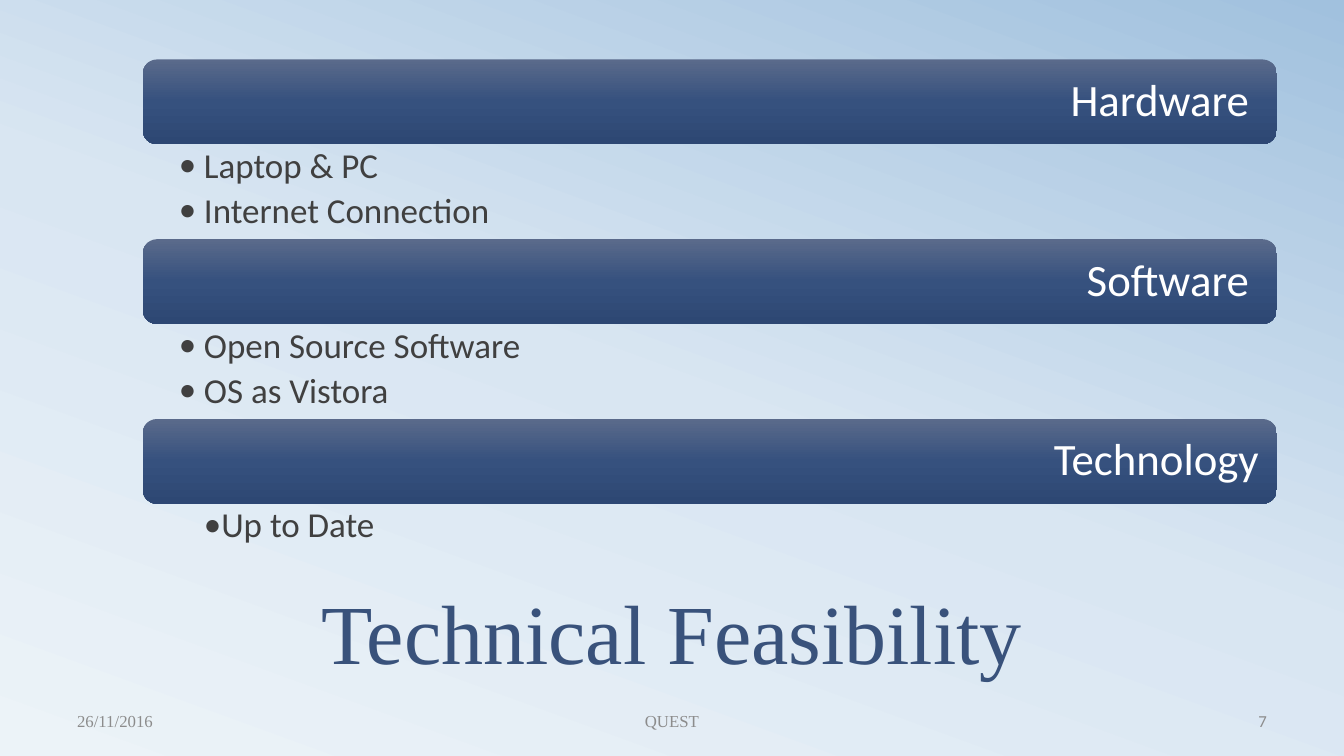
from copy import deepcopy

from lxml.etree import SubElement
from pptx import Presentation
from pptx.dml.color import RGBColor
from pptx.enum.shapes import MSO_SHAPE as Shape
from pptx.enum.text import MSO_ANCHOR as Anchor, PP_ALIGN as Align
from pptx.oxml.ns import qn
from pptx.util import Pt

COLORS = {
    "title": "39527B",
    "footer": "8C8C8C",
    "heading": "FFFFFF",
    "item": "404040",
}
GRADIENTS = {
    "background": [(0, "ECF3F8"), (0.49, "D9E6F2"), (1, "A1C1DE")],
    "bar": [(0, "5A6A8B"), (0.5, "36517E"), (1, "2D4773")],
}
SERIF, SANS = "Times New Roman", "Calibri"

# Heading, items, hanging indent of the bullets
SECTIONS = [
    ("Hardware ", ["Laptop & PC", "Internet Connection"], -18),
    ("Software ", ["Open Source Software", "OS as Vistora"], -18),
    ("Technology", ["Up to Date"], 0),
]
LEFT, TOP, WIDTH = 102, 42.5, 810
BAR_HEIGHT, SECTION_PITCH, LINE_HEIGHT = 60.5, 128.4, 33.8


def paint_gradient(fill, element, stops, angle):
    """Fill with any number of stops; angle is counter-clockwise."""
    fill.gradient()
    fill.gradient_angle = angle
    stop_list = element.find(".//" + qn("a:gsLst"))
    for _ in stops[2:]:
        stop_list.append(deepcopy(stop_list[0]))
    for stop, (position, color) in zip(fill.gradient_stops, stops):
        stop.position = position
        stop.color.rgb = RGBColor.from_string(color)


def write(paragraph, text, *, font, size, color, align=Align.LEFT,
          line=1.0, after=0):
    paragraph.alignment = align
    paragraph.line_spacing = line
    paragraph.space_after = Pt(after)
    run = paragraph.add_run()
    run.text = text
    run.font.name = font
    run.font.size = Pt(size)
    run.font.color.rgb = RGBColor.from_string(COLORS[color])


def set_frame(frame, anchor, insets):
    frame.word_wrap = True
    frame.vertical_anchor = anchor
    (frame.margin_left, frame.margin_top,
     frame.margin_right, frame.margin_bottom) = map(Pt, insets)


def add_text(slide, box, anchor=Anchor.MIDDLE, insets=(7.2, 3.6, 7.2, 3.6)):
    frame = slide.shapes.add_textbox(*map(Pt, box)).text_frame
    set_frame(frame, anchor, insets)
    return frame


def add_bullet(paragraph, indent):
    properties = paragraph._p.get_or_add_pPr()
    properties.set("marL", str(Pt(18)))
    properties.set("indent", str(Pt(indent)))
    SubElement(properties, qn("a:buFont")).set("typeface", SANS)
    SubElement(properties, qn("a:buChar")).set("char", "•")


def add_bar(slide, top, heading):
    bar = slide.shapes.add_shape(
        Shape.ROUNDED_RECTANGLE, Pt(LEFT), Pt(top), Pt(WIDTH), Pt(BAR_HEIGHT))
    bar.shadow.inherit = False
    bar.line.fill.background()
    paint_gradient(bar.fill, bar.element, GRADIENTS["bar"], 270)
    set_frame(bar.text_frame, Anchor.MIDDLE, [9.6] * 4)
    write(bar.text_frame.paragraphs[0], heading, font=SANS, size=32,
          color="heading", align=Align.RIGHT, line=0.9)


def add_items(slide, top, items, indent):
    frame = add_text(slide, (LEFT, top, WIDTH, LINE_HEIGHT * len(items)),
                     Anchor.TOP, (25.7, 2.9, 18, 2.9))
    for index, item in enumerate(items):
        paragraph = frame.add_paragraph() if index else frame.paragraphs[0]
        write(paragraph, item, font=SANS, size=25, color="item",
              line=0.9, after=5)
        add_bullet(paragraph, indent)


def add_footer(slide, left, width, text, font, align):
    frame = add_text(slide, (left, 500.5, width, 28.8))
    write(frame.paragraphs[0], text, font=font, size=12, color="footer",
          align=align)


def main():
    deck = Presentation()
    deck.slide_width, deck.slide_height = Pt(960), Pt(540)
    slide = deck.slides.add_slide(deck.slide_layouts[6])
    paint_gradient(slide.background.fill, slide.element,
                   GRADIENTS["background"], 70)

    # Title
    title = add_text(slide, (48, 406, 864, 84), Anchor.BOTTOM)
    write(title.paragraphs[0], "Technical Feasibility", font=SERIF, size=60,
          color="title", align=Align.CENTER, line=0.8)

    # Footer
    add_footer(slide, 48, 224, "26/11/2016", SERIF, Align.LEFT)
    add_footer(slide, 328, 304, "QUEST", SERIF, Align.CENTER)
    add_footer(slide, 688, 224, "7", SANS, Align.RIGHT)

    # Sections
    for index, (heading, items, indent) in enumerate(SECTIONS):
        top = TOP + index * SECTION_PITCH
        add_bar(slide, top, heading)
        add_items(slide, top + BAR_HEIGHT, items, indent)

    deck.save("out.pptx")


if __name__ == "__main__":
    main()
